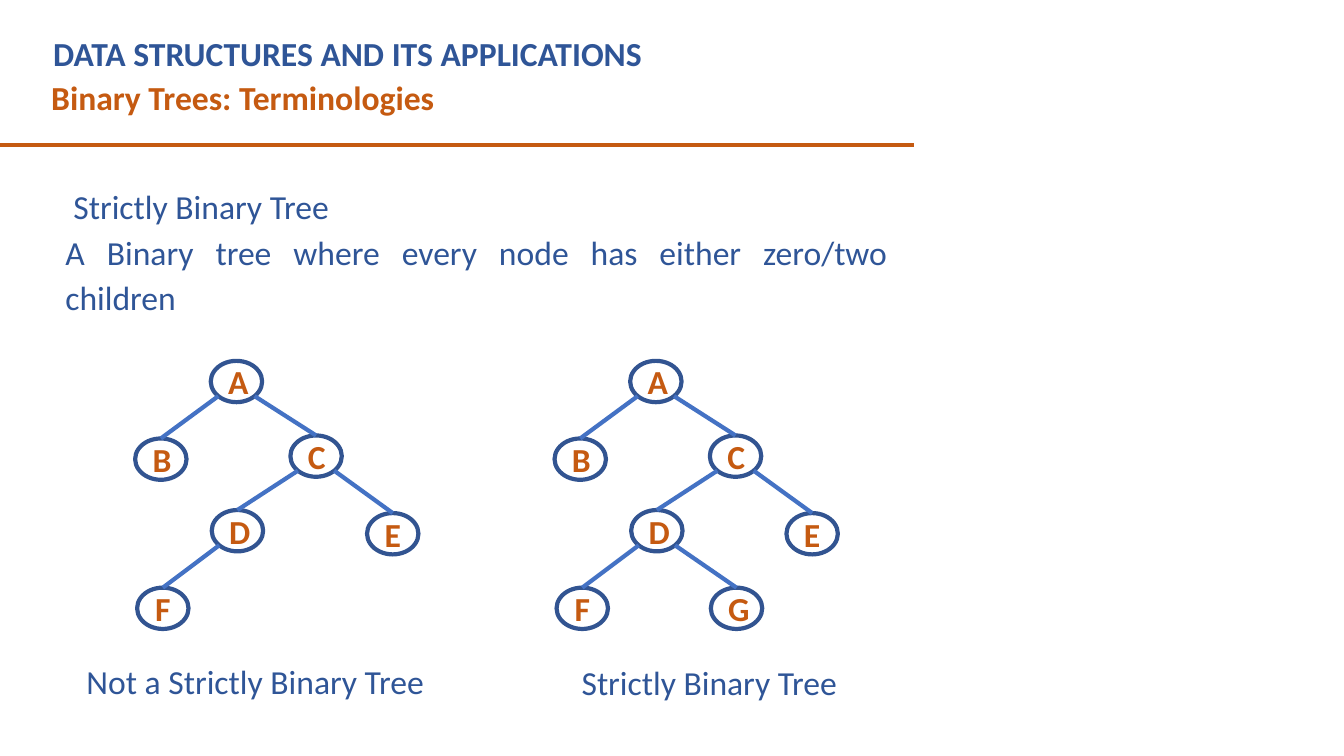
from math import sqrt

from lxml.etree import SubElement
from pptx import Presentation
from pptx.dml.color import RGBColor
from pptx.enum.shapes import MSO_CONNECTOR, MSO_SHAPE
from pptx.enum.text import MSO_ANCHOR, PP_ALIGN
from pptx.oxml.ns import qn
from pptx.util import Inches, Pt

COLORS = {
    "blue": "2F5597",
    "orange": "C55A11",
    "ring": "325491",
    "edge": "4472C4",
    "white": "FFFFFF",
}
NODE_W, NODE_H = 0.51, 0.41
SPOTS = {
    "A": (0.75, 0),
    "B": (0, 0.77),
    "C": (1.54, 0.74),
    "D": (0.76, 1.48),
    "E": (2.3, 1.51),
    "F": (0.02, 2.25),
    "G": (1.55, 2.25),
}
EDGES = ["AB", "AC", "CD", "CE", "DF", "DG"]


def color(name):
    return RGBColor.from_string(COLORS[name])


def style(para, tint, bold=False):
    for run in para.runs:
        font = run.font
        font.name = "Calibri"
        font.size = Pt(24)
        font.bold = bold
        font.color.rgb = color(tint)


def add_text(slide, box, lines, tint, bold=False):
    frame = slide.shapes.add_textbox(*map(Inches, box)).text_frame
    frame.word_wrap = True
    frame.text = "\n".join(lines)
    for para in frame.paragraphs:
        style(para, tint, bold)
    return frame


def add_line(shapes, start, end, tint):
    ends = map(Inches, (*start, *end))
    line = shapes.add_connector(MSO_CONNECTOR.STRAIGHT, *ends)
    line.line.color.rgb = color(tint)
    line.line.width = Pt(3)
    SubElement(line._element.spPr, qn("a:effectLst"))
    return line


def add_node(shapes, label, left, top):
    box = map(Inches, (left, top, NODE_W, NODE_H))
    node = shapes.add_shape(MSO_SHAPE.OVAL, *box)
    node.shadow.inherit = False
    node.fill.solid()
    node.fill.fore_color.rgb = color("white")
    node.line.color.rgb = color("ring")
    node.line.width = Pt(3)
    frame = node.text_frame
    frame.text = label
    frame.vertical_anchor = MSO_ANCHOR.MIDDLE
    para = frame.paragraphs[0]
    para.alignment = PP_ALIGN.CENTER
    style(para, "orange", True)
    return node


def add_tree(slide, left, top, labels):
    shapes = slide.shapes.add_group_shape().shapes
    spots = {key: (left + SPOTS[key][0], top + SPOTS[key][1]) for key in labels}
    nodes = {key: add_node(shapes, key, *spots[key]) for key in labels}
    for head, child in EDGES:
        if child not in nodes:
            continue
        (x, y), (end_x, end_y) = spots[head], spots[child]
        side = 1 if end_x > x else -1
        start = (
            x + NODE_W / 2 * (1 + side / sqrt(2)),
            y + NODE_H / 2 * (1 + 1 / sqrt(2)),
        )
        edge = add_line(shapes, start, (end_x + NODE_W / 2, end_y), "edge")
        edge.end_connect(nodes[child], 0)


def add_body(slide):
    lines = [
        "Strictly Binary Tree",
        "A Binary tree where every node has either zero/two children",
    ]
    frame = add_text(slide, (0.55, 1.64, 8.35, 1.6), lines, "blue")
    frame.margin_top = frame.margin_bottom = 0
    for para, space in zip(frame.paragraphs, (1.5, 1.14)):
        para.alignment = PP_ALIGN.JUSTIFY
        para.line_spacing = space
    props = frame.paragraphs[0]._p.get_or_add_pPr()
    props.set("marL", str(Inches(0.08)))


def main():
    deck = Presentation()
    deck.slide_width, deck.slide_height = Inches(13.33), Inches(7.5)
    slide = deck.slides.add_slide(deck.slide_layouts[6])
    title = ["DATA STRUCTURES AND ITS APPLICATIONS"]
    add_text(slide, (0.43, 0.28, 8.2, 0.5), title, "blue", True)
    topic = ["Binary Trees: Terminologies"]
    add_text(slide, (0.41, 0.71, 8.75, 0.5), topic, "orange", True)
    add_line(slide.shapes, (0, 1.44), (9.07, 1.44), "orange")
    add_body(slide)
    add_tree(slide, 1.34, 3.58, "ABCDEF")
    add_tree(slide, 5.5, 3.58, "ABCDEFG")
    add_text(slide, (0.76, 6.51, 3.56, 0.5), ["Not a Strictly Binary Tree"], "blue")
    add_text(slide, (5.67, 6.52, 2.93, 0.5), ["Strictly Binary Tree"], "blue")
    deck.save("out.pptx")


if __name__ == "__main__":
    main()
